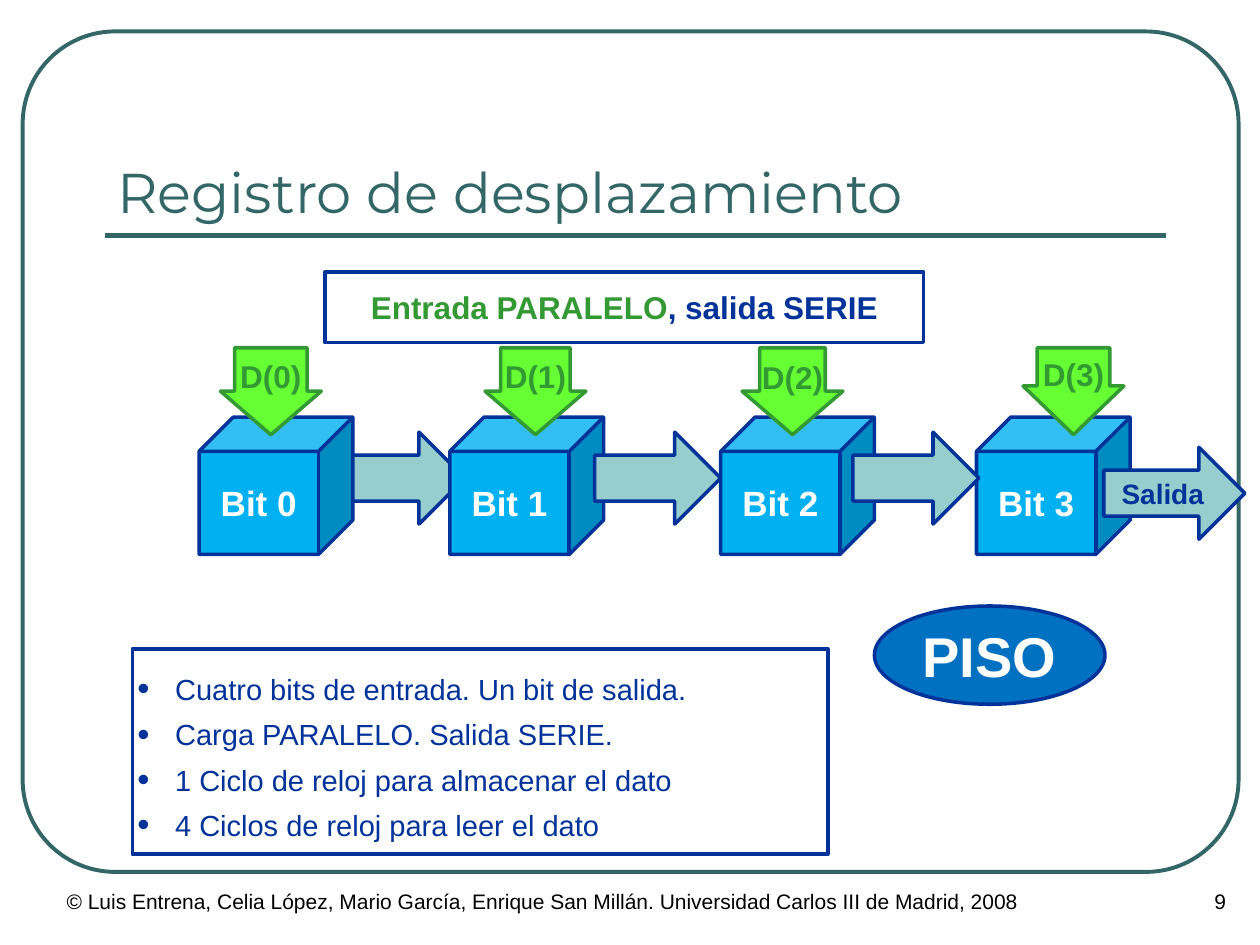
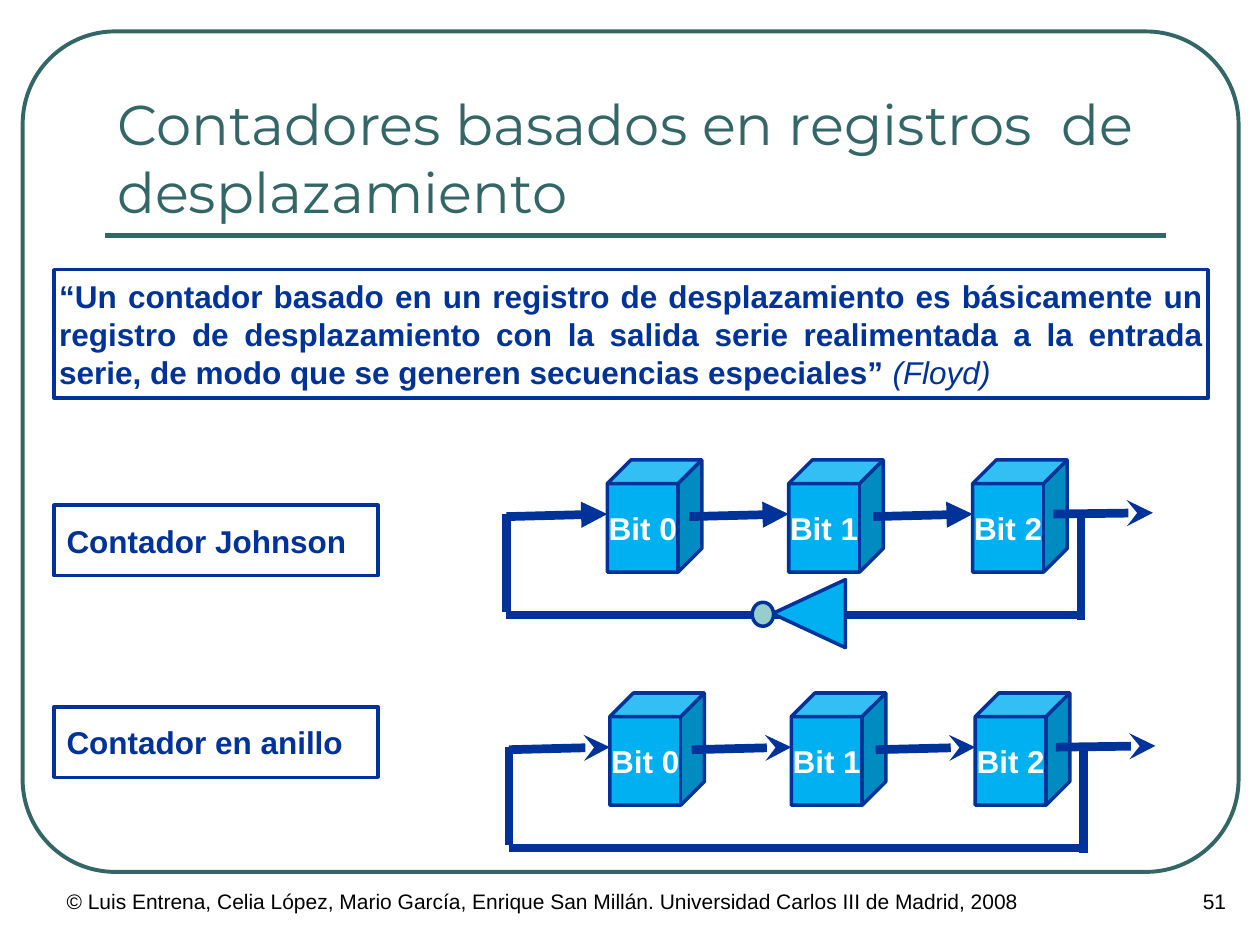
from lxml import etree
from pptx import Presentation
from pptx import util as u
from pptx.dml.color import RGBColor
from pptx.enum import shapes, text
from pptx.oxml.ns import qn

TEAL = RGBColor(0x33, 0x66, 0x66)
NAVY = RGBColor(0x00, 0x33, 0x99)
SKY = RGBColor(0x00, 0xB0, 0xF0)
BLUE = RGBColor(0x00, 0x70, 0xC0)
AQUA = RGBColor(0x97, 0xCD, 0xCC)
LIME = RGBColor(0x66, 0xFF, 0x33)
GREEN = RGBColor(0x33, 0x99, 0x33)
WHITE = RGBColor(0xFF, 0xFF, 0xFF)
BLACK = RGBColor(0x00, 0x00, 0x00)

KIND = shapes.MSO_SHAPE
ALIGN = text.PP_ALIGN
ANCHOR = text.MSO_ANCHOR

COLUMNS, ROWS = 100, 75
CELL = u.Inches(0.1)

FOOTER = "© Luis Entrena, Celia López, Mario García, Enrique San Millán. Universidad Carlos III de Madrid, 2008"

PISO = {
    "title": "Registro de desplazamiento",
    "number": "9",
    "heading": [("Entrada PARALELO", {"color": GREEN}), (", salida SERIE", {})],
    "bits": [("Bit 0", 15.8), ("Bit 1", 35.7), ("Bit 2", 57.2), ("Bit 3", 77.5)],
    "inputs": [("D(0)", 17.5, 0.72, 0.5), ("D(1)", 38.5, 0.69, 0.5),
               ("D(2)", 58.9, 0.65, 0.5), ("D(3)", 81.2, 0.72, 0.56)],
    "shifts": [26.9, 47.2, 67.7],
    "output": "Salida",
    "badge": "PISO",
    "facts": ["Cuatro bits de entrada. Un bit de salida.",
              "Carga PARALELO. Salida SERIE.",
              "1 Ciclo de reloj para almacenar el dato",
              "4 Ciclos de reloj para leer el dato"],
}

COUNTERS = {
    "title": "Contadores basados en registros  de desplazamiento",
    "number": "51",
    "quote": [("“Un contador basado en un registro de desplazamiento es básicamente un registro "
               "de desplazamiento con la salida serie realimentada a la entrada serie, de modo "
               "que se generen secuencias especiales” ", {}),
              ("(Floyd)", {"bold": False, "italic": True})],
    "bits": [("Bit 0", 8), ("Bit 1", 22.4), ("Bit 2", 37)],
    "wires": [(14.5, 22.4), (29.1, 37), (0, 8)],
    "rings": [
        {"label": "Contador Johnson", "label_top": 40.1, "origin": (40.2, 36.5),
         "head": "triangle", "inverted": True},
        {"label": "Contador en anillo", "label_top": 56.1, "origin": (40.4, 55),
         "head": "stealth", "inverted": False},
    ],
}


def grid(*cells):
    return [round(cell * CELL) for cell in cells]


def write(frame, paragraphs, size=18, color=NAVY, bold=False, font="Arial", align=ALIGN.LEFT,
          anchor=ANCHOR.MIDDLE, wrap=True, inset=(0.1, 0.1), spacing=None, bullet=False):
    frame.word_wrap = wrap
    frame.auto_size = text.MSO_AUTO_SIZE.NONE
    frame.vertical_anchor = anchor
    frame.margin_left, frame.margin_right = map(u.Inches, inset)
    frame.margin_top = frame.margin_bottom = u.Inches(0.05)
    if isinstance(paragraphs, str):
        paragraphs = [paragraphs]
    for index, runs in enumerate(paragraphs):
        paragraph = frame.add_paragraph() if index else frame.paragraphs[0]
        if bullet:
            add_bullet(paragraph)
        paragraph.alignment = align
        if spacing:
            paragraph.line_spacing = spacing
        for words, changes in [(runs, {})] if isinstance(runs, str) else runs:
            run = paragraph.add_run()
            run.text = words
            run.font.name = font
            run.font.size = u.Pt(size)
            run.font.bold = changes.get("bold", bold)
            run.font.italic = changes.get("italic", False)
            run.font.color.rgb = changes.get("color", color)


def add_bullet(paragraph):
    properties = paragraph._p.get_or_add_pPr()
    properties.set("marL", str(u.Inches(0.3)))
    properties.set("indent", str(-u.Inches(0.3)))
    tint = etree.SubElement(properties, qn("a:buClr"))
    etree.SubElement(tint, qn("a:srgbClr"), val=str(NAVY))
    etree.SubElement(properties, qn("a:buSzPct"), val="120000")
    etree.SubElement(properties, qn("a:buFont"), typeface="Arial")
    etree.SubElement(properties, qn("a:buChar"), char="•")


def draw(slide, kind, cells, fill=WHITE, line=NAVY, width=2, adjust=(), rotation=0,
         words=None, **style):
    shape = slide.shapes.add_shape(kind, *grid(*cells))
    shape.shadow.inherit = False
    shape.rotation = rotation
    for index, value in enumerate(adjust):
        shape.adjustments[index] = value
    if fill is None:
        shape.fill.background()
    else:
        shape.fill.solid()
        shape.fill.fore_color.rgb = fill
    shape.line.color.rgb = line
    shape.line.width = u.Pt(width)
    if words:
        write(shape.text_frame, words, **style)


def label(slide, kind, cells, words, **style):
    draw(slide, kind, cells, words=words, **{"bold": True, "align": ALIGN.CENTER, "wrap": False, **style})


def wire(slide, start, end, color=NAVY, width=5, head=None):
    line = slide.shapes.add_connector(shapes.MSO_CONNECTOR.STRAIGHT, *grid(*start, *end))
    line.line.color.rgb = color
    line.line.width = u.Pt(width)
    if head:
        etree.SubElement(line.line._get_or_add_ln(), qn("a:tailEnd"), type=head)
    etree.SubElement(line._element.spPr, qn("a:effectLst"))


def note(slide, cells, words, align=ALIGN.LEFT):
    box = slide.shapes.add_textbox(*grid(*cells))
    write(box.text_frame, words, size=12, color=BLACK, align=align, anchor=ANCHOR.TOP)


def start_slide(deck, content):
    slide = deck.slides.add_slide(deck.slide_layouts[5])
    draw(slide, KIND.ROUNDED_RECTANGLE, (1.8, 2.5, 96.5, 66.7), fill=None, line=TEAL,
         width=2.25, adjust=[0.11])
    wire(slide, (8.3, 18.7), (92.5, 18.7), color=TEAL, width=3)
    note(slide, (4.3, 70, 85, 5), FOOTER)
    note(slide, (89.3, 70, 9, 5), content["number"], align=ALIGN.RIGHT)
    title = slide.shapes.title
    title.left, title.top, title.width, title.height = grid(8.3, 5.8, 84.2, 12.5)
    write(title.text_frame, content["title"], size=32, color=TEAL, font="Montserrat",
          anchor=ANCHOR.BOTTOM)
    return slide


def build_piso(deck):
    slide = start_slide(deck, PISO)
    draw(slide, KIND.RECTANGLE, (10.5, 51.5, 55.2, 16.3), words=PISO["facts"], size=16.6,
         align=ALIGN.JUSTIFY, inset=(0.04, 0.12), spacing=1.3, bullet=True)
    label(slide, KIND.RECTANGLE, (25.8, 21.6, 47.5, 5.6), [PISO["heading"]])

    def shift(left):
        draw(slide, KIND.RIGHT_ARROW, (left, 34.3, 10, 7.3), fill=AQUA)

    first, *later = PISO["shifts"]
    shift(first)
    for name, left in PISO["bits"]:
        label(slide, KIND.CUBE, (left, 33.1, 12.2, 10.9), name, fill=SKY, size=20, color=WHITE)
    for left in later:
        shift(left)
    label(slide, KIND.RIGHT_ARROW, (87.6, 35.5, 11.2, 7.3), PISO["output"], fill=AQUA, size=16)
    for name, left, shaft, point in PISO["inputs"]:
        label(slide, KIND.DOWN_ARROW, (left, 27.6, 8, 6.9), name, fill=LIME, line=GREEN,
              color=GREEN, adjust=[shaft, point])
    label(slide, KIND.OVAL, (69.4, 48.1, 18.3, 7.8), PISO["badge"], fill=BLUE, size=32, color=WHITE)


def build_ring(slide, ring):
    x, y = ring["origin"]
    label(slide, KIND.RECTANGLE, (4.3, ring["label_top"], 25.7, 5.6), ring["label"],
          align=ALIGN.LEFT, wrap=True)
    for name, left in COUNTERS["bits"]:
        label(slide, KIND.CUBE, (x + left, y, 7.5, 8.9), name, fill=SKY, color=WHITE)
    for start, end in COUNTERS["wires"]:
        wire(slide, (x + start, y + 4.5), (x + end, y + 4.3), head=ring["head"])
    wire(slide, (x, y + 12.3), (x + 45.6, y + 12.3))
    wire(slide, (x, y + 12.1), (x, y + 4.3))
    if ring["inverted"]:
        draw(slide, KIND.ISOSCELES_TRIANGLE, (x + 21.3, y + 9.3, 5.4, 5.8), fill=SKY, rotation=270)
        draw(slide, KIND.OVAL, (x + 19.4, y + 11.4, 1.9, 1.7), fill=AQUA, rotation=270)
    wire(slide, (x + 45.6, y + 12.7), (x + 45.6, y + 4.3))
    wire(slide, (x + 43.4, y + 4.3), (x + 51.3, y + 4.2), head="stealth")


def build_counters(deck):
    slide = start_slide(deck, COUNTERS)
    draw(slide, KIND.RECTANGLE, (4.3, 21.4, 91.6, 10.2), words=[COUNTERS["quote"]], bold=True,
         align=ALIGN.JUSTIFY, inset=(0.04, 0.04))
    for ring in COUNTERS["rings"]:
        build_ring(slide, ring)


def main():
    deck = Presentation()
    deck.slide_width, deck.slide_height = grid(COLUMNS, ROWS)
    build_piso(deck)
    build_counters(deck)
    deck.save("out.pptx")


if __name__ == "__main__":
    main()
